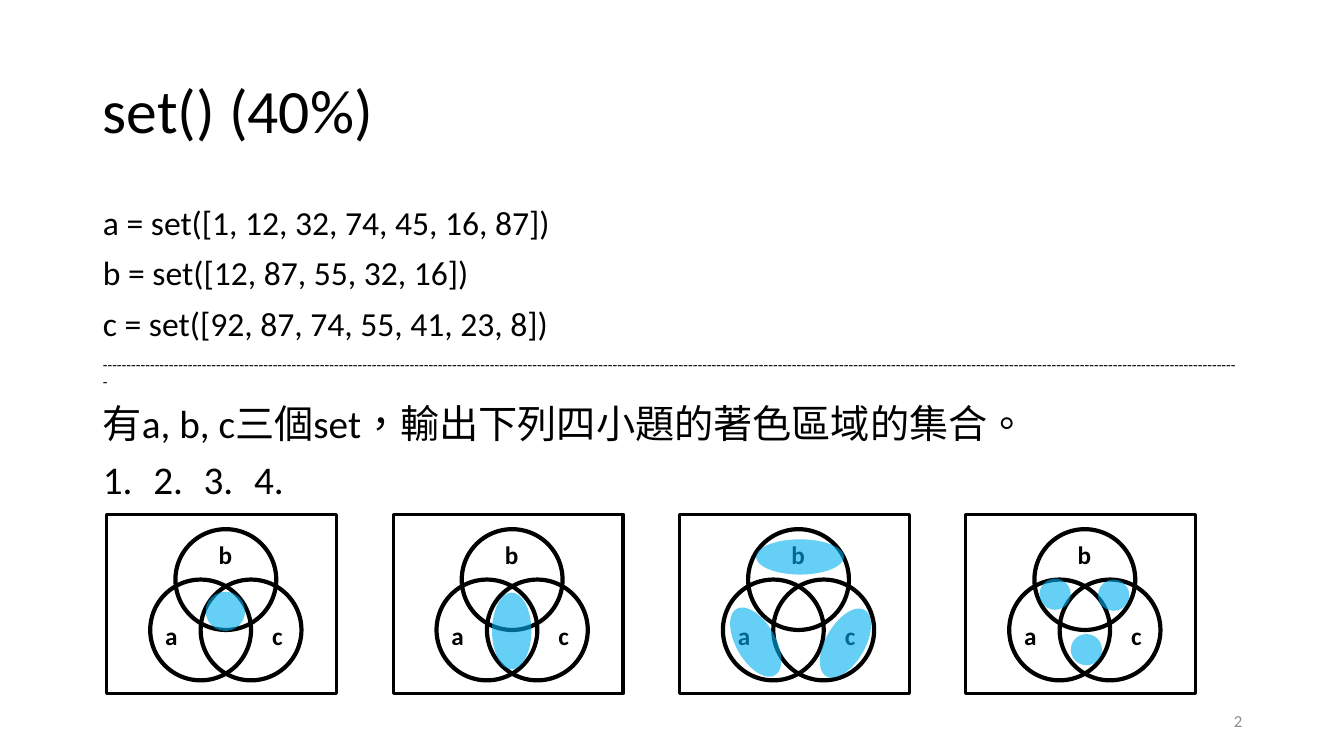
import dataclasses
import pptx
import pptx.dml.color
import pptx.enum.lang
import pptx.enum.shapes
import pptx.enum.text
import pptx.oxml
import pptx.oxml.ns
import pptx.util

Inches = pptx.util.Inches
Pt = pptx.util.Pt
OVAL = pptx.enum.shapes.MSO_SHAPE.OVAL
RECTANGLE = pptx.enum.shapes.MSO_SHAPE.RECTANGLE
ALIGN = pptx.enum.text.PP_ALIGN
ANCHOR = pptx.enum.text.MSO_ANCHOR
AUTO_SIZE = pptx.enum.text.MSO_AUTO_SIZE


@dataclasses.dataclass(frozen=True)
class Theme:
    font: str = "Calibri"
    ink: str = "000000"
    muted: str = "8C8C8C"
    highlight: str = "00B0F0"
    highlight_opacity: int = 60
    title_size: int = 44
    code_size: int = 24
    divider_size: int = 11
    question_size: int = 28
    label_size: int = 18
    number_size: int = 12
    circle_line: float = 3
    frame_line: float = 2.25


THEME = Theme()

MARGIN = 0.92
CONTENT_WIDTH = 11.5
COLUMN_PITCH = 2.84
FRAME_LEFT, FRAME_TOP = 1.06, 5.1
FRAME_SIZE = (2.28, 1.78)
CIRCLE = 1
REGION = (0.39, 0.76)
SPOT = (0.31, 0.31)

CIRCLES = [(0.68, 0.15), (0.93, 0.65), (0.43, 0.65)]
LABELS = [("a", 0.48, 1, 0.33), ("b", 1.01, 0.2, 0.34), ("c", 1.54, 1, 0.31)]
DIAGRAM_REGIONS = [
    [(0.98, 0.77, 0.39, 0.39, 0)],
    [(0.98, 0.78, *REGION, 0)],
    [(0.56, 0.89, *REGION, -30), (0.76, 0.25, 0.87, 0.35, 0), (1.45, 0.9, *REGION, 30)],
    [(1.31, 0.65, *SPOT, 0), (0.73, 0.64, *SPOT, 0), (1.04, 1.19, *SPOT, 0)],
]

BODY_LINES = [
    ("a = set([1, 12, 32, 74, 45, 16, 87])", THEME.code_size),
    ("b = set([12, 87, 55, 32, 16])", THEME.code_size),
    ("c = set([92, 87, 74, 55, 41, 23, 8])", THEME.code_size),
    ("-" * 241, THEME.divider_size),
    ("有a, b, c三個set，輸出下列四小題的著色區域的集合。", THEME.question_size),
    ("1.\t2.\t3.\t4.", THEME.question_size),
]


def color(value):
    return pptx.dml.color.RGBColor.from_string(value)


def place(shape, left, top, width, height):
    shape.left, shape.top = Inches(left), Inches(top)
    shape.width, shape.height = Inches(width), Inches(height)


def write(para, text, size, ink=THEME.ink, bold=False):
    para.text = text
    para.font.name = THEME.font
    para.font.size = Pt(size)
    para.font.bold = bold
    para.font.color.rgb = color(ink)


def add_title(slide, text):
    title = slide.shapes.title
    place(title, MARGIN, 0.4, CONTENT_WIDTH, 1.45)
    title.text_frame.vertical_anchor = ANCHOR.MIDDLE
    title.text_frame.auto_size = AUTO_SIZE.NONE
    para = title.text_frame.paragraphs[0]
    write(para, text, THEME.title_size)
    para.alignment = ALIGN.LEFT
    para.line_spacing = 0.9


def remove_bullet(para):
    properties = para._p.get_or_add_pPr()
    properties.set("marL", "0")
    properties.set("indent", "0")
    properties.insert_element_before(
        pptx.oxml.parse_xml(f'<a:buNone {pptx.oxml.ns.nsdecls("a")}/>'),
        "a:tabLst", "a:defRPr", "a:extLst")


def add_column_tabs(para):
    stops = "".join(
        f'<a:tab pos="{Inches(COLUMN_PITCH * column)}" algn="l"/>'
        for column in range(1, len(DIAGRAM_REGIONS)))
    tabs = pptx.oxml.parse_xml(f'<a:tabLst {pptx.oxml.ns.nsdecls("a")}>{stops}</a:tabLst>')
    para._p.get_or_add_pPr().insert_element_before(tabs, "a:defRPr", "a:extLst")


def add_body(slide):
    body = slide.placeholders[1]
    place(body, MARGIN, 2, CONTENT_WIDTH, 4.76)
    frame = body.text_frame
    frame.auto_size = AUTO_SIZE.NONE
    for index, (text, size) in enumerate(BODY_LINES):
        para = frame.add_paragraph() if index else frame.paragraphs[0]
        write(para, text, size)
        para.font.language_id = pptx.enum.lang.MSO_LANGUAGE_ID.TRADITIONAL_CHINESE
        para.line_spacing = 0.9
        para.space_before = Pt(10)
        remove_bullet(para)
        if "\t" in text:
            add_column_tabs(para)


def add_outline(group, kind, left, top, width, height, weight):
    shape = group.shapes.add_shape(
        kind, Inches(left), Inches(top), Inches(width), Inches(height))
    shape.shadow.inherit = False
    shape.fill.background()
    shape.line.color.rgb = color(THEME.ink)
    shape.line.width = Pt(weight)


def add_region(group, left, top, width, height, rotation):
    region = group.shapes.add_shape(
        OVAL, Inches(left), Inches(top), Inches(width), Inches(height))
    region.shadow.inherit = False
    region.rotation = rotation
    region.line.fill.background()
    region.fill.solid()
    region.fill.fore_color.rgb = color(THEME.highlight)
    tint = region._element.spPr.find(".//" + pptx.oxml.ns.qn("a:srgbClr"))
    tint.append(pptx.oxml.parse_xml(
        f'<a:alpha {pptx.oxml.ns.nsdecls("a")} val="{THEME.highlight_opacity * 1000}"/>'))


def add_label(group, text, left, top, width):
    box = group.shapes.add_textbox(Inches(left), Inches(top), Inches(width), Inches(0.4))
    box.text_frame.word_wrap = False
    box.text_frame.auto_size = AUTO_SIZE.SHAPE_TO_FIT_TEXT
    write(box.text_frame.paragraphs[0], text, THEME.label_size, bold=True)


def add_venn(slide, column, regions):
    left = FRAME_LEFT + column * COLUMN_PITCH
    group = slide.shapes.add_group_shape()
    for x, y in CIRCLES:
        add_outline(group, OVAL, left + x, FRAME_TOP + y, CIRCLE, CIRCLE, THEME.circle_line)
    for text, x, y, width in LABELS:
        add_label(group, text, left + x, FRAME_TOP + y, width)
    add_outline(group, RECTANGLE, left, FRAME_TOP, *FRAME_SIZE, THEME.frame_line)
    for x, y, width, height, rotation in regions:
        add_region(group, left + x, FRAME_TOP + y, width, height, rotation)


def add_page_number(slide, number):
    box = slide.shapes.add_textbox(Inches(9.42), Inches(6.95), Inches(3), Inches(0.4))
    box.text_frame.word_wrap = True
    box.text_frame.vertical_anchor = ANCHOR.MIDDLE
    para = box.text_frame.paragraphs[0]
    write(para, number, THEME.number_size, THEME.muted)
    para.alignment = ALIGN.RIGHT


def main():
    deck = pptx.Presentation()
    deck.slide_width, deck.slide_height = Inches(13.33), Inches(7.5)
    slide = deck.slides.add_slide(deck.slide_layouts[1])
    add_title(slide, "set() (40%)")
    add_body(slide)
    for column, regions in enumerate(DIAGRAM_REGIONS):
        add_venn(slide, column, regions)
    add_page_number(slide, "2")
    deck.save("out.pptx")


if __name__ == "__main__":
    main()
